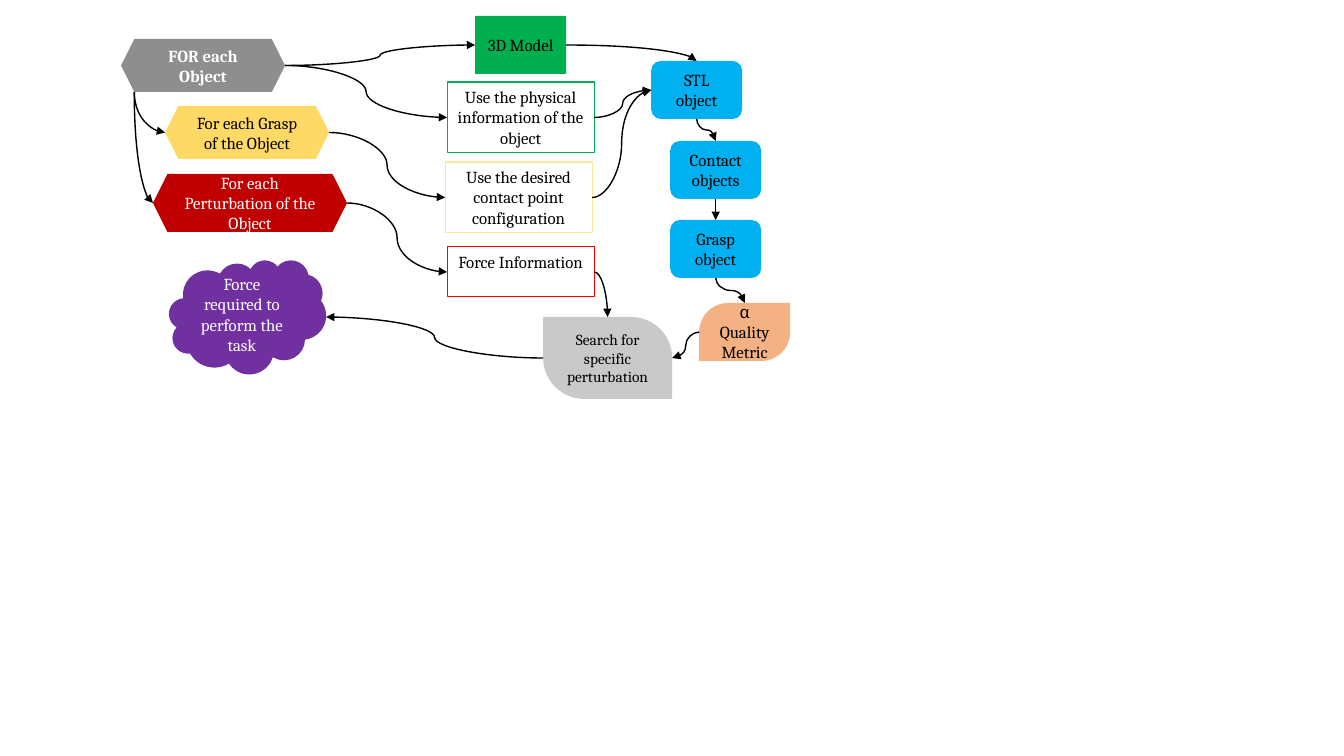
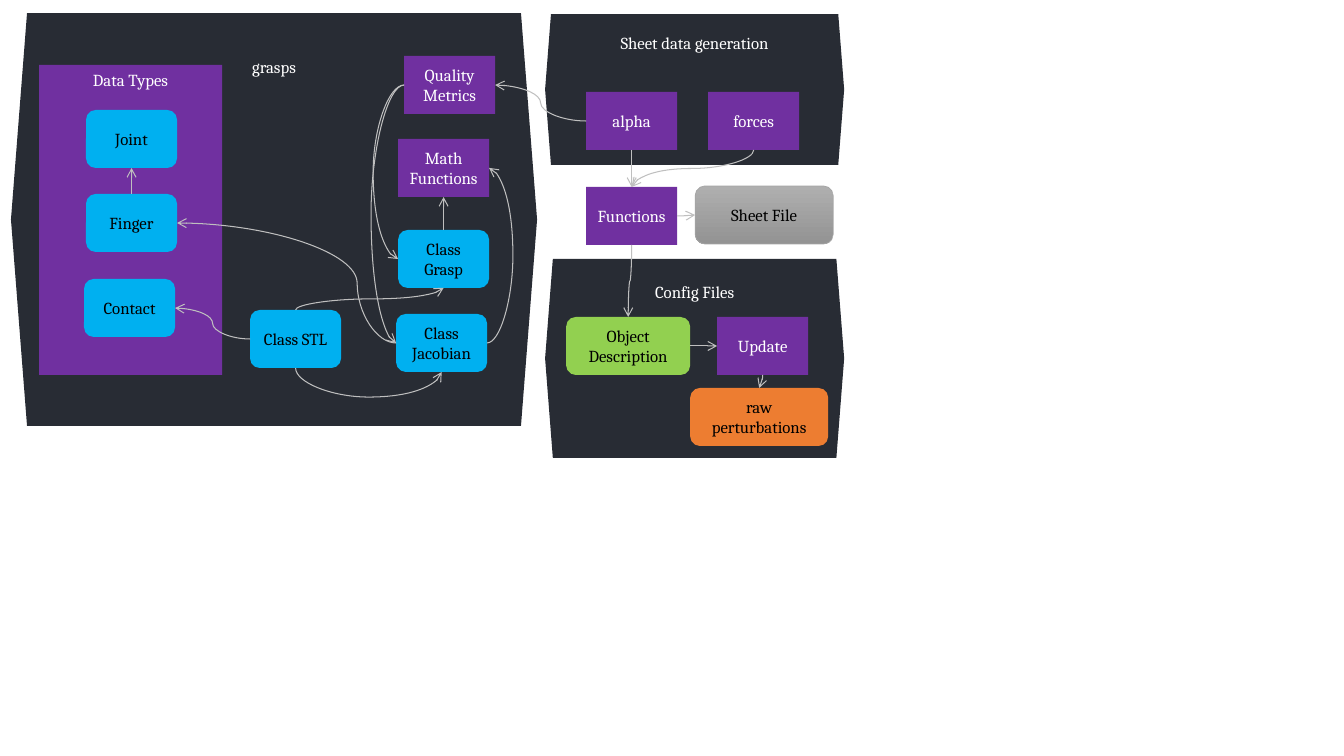
from dataclasses import dataclass

from pptx import Presentation
from pptx.dml.color import RGBColor
from pptx.enum.shapes import MSO_CONNECTOR, MSO_SHAPE as Preset
from pptx.enum.text import MSO_ANCHOR as Anchor, PP_ALIGN as Align
from pptx.oxml.ns import qn
from pptx.oxml.xmlchemy import OxmlElement
from pptx.util import Inches, Pt

EMU_PER_PIXEL = Inches(1) / 100.8
FONT = "Cambria"
BLACK, WHITE = "000000", "FFFFFF"
BLUE, PURPLE, DARK = "00B0F0", "7030A0", "282C34"
TILE = (91, 58)
SMALL_HEXAGON = (164, 53)
NOTE = (147, 71)
WIDE_TILE = (138, 58)
RECT_SITES = {"T": 0, "L": 1, "B": 2, "R": 3}
SITES = {
    Preset.HEXAGON: {"R": 0, "C": 2, "L": 3},
    Preset.CLOUD: {"R": 0},
    Preset.ROUND_2_DIAG_RECTANGLE: {"R": 0, "B": 1, "L": 2, "T": 3},
}


@dataclass(frozen=True)
class Box:
    key: str
    text: str
    left: int
    top: int
    size: tuple[int, int] = TILE
    preset: Preset = Preset.ROUNDED_RECTANGLE
    fill: str | tuple[str, str] | None = BLUE
    ink: str = BLACK
    outline: str | None = None
    outline_width: float = 0.75
    anchor: Anchor = Anchor.MIDDLE
    adjust: tuple[float, ...] = ()
    points: int = 12
    bold: bool = False

    def site(self, side: str) -> tuple[float, float]:
        width, height = self.size
        corner = 0.25 * min(self.size)
        across, down = {
            "L": (0, height / 2),
            "R": (width, height / 2),
            "T": (width / 2, 0),
            "B": (width / 2, height),
            "C": (corner, height),
        }[side]
        return self.left + across, self.top + down


@dataclass(frozen=True)
class Link:
    start: str
    leave: str
    end: str
    arrive: str
    reach: int | None = None


@dataclass(frozen=True)
class Arrow:
    color: str
    width: float
    head: str


def emu(pixels: float) -> int:
    return round(pixels * EMU_PER_PIXEL)


def rgb(value: str) -> RGBColor:
    return RGBColor.from_string(value)


def note(key: str, text: str, left: int, top: int, outline: str,
         size: tuple[int, int] = NOTE) -> Box:
    return Box(key, text, left, top, size, Preset.RECTANGLE, None,
               outline=outline, anchor=Anchor.TOP)


def module(key: str, text: str, left: int, top: int) -> Box:
    return Box(key, text, left, top, TILE, Preset.RECTANGLE, PURPLE, WHITE)


def folder_panel(key: str, text: str, left: int, top: int, size: tuple[int, int]) -> Box:
    return Box(key, text, left, top, size, Preset.HEXAGON, DARK, WHITE,
               anchor=Anchor.TOP, adjust=(0.039,))


def draw_box(slide, box: Box):
    shape = slide.shapes.add_shape(
        box.preset, *map(emu, (box.left, box.top, *box.size)))
    shape.shadow.inherit = False
    for index, value in enumerate(box.adjust):
        shape.adjustments[index] = value
    if box.fill is None:
        shape.fill.background()
    elif isinstance(box.fill, tuple):
        shape.fill.gradient()
        shape.fill.gradient_angle = 270
        for stop, color in zip(shape.fill.gradient_stops, box.fill):
            stop.color.rgb = rgb(color)
    else:
        shape.fill.solid()
        shape.fill.fore_color.rgb = rgb(box.fill)
    if box.outline:
        shape.line.color.rgb = rgb(box.outline)
        shape.line.width = Pt(box.outline_width)
    else:
        shape.line.fill.background()
    frame = shape.text_frame
    frame.word_wrap = True
    frame.vertical_anchor = box.anchor
    frame.text = box.text
    for paragraph in frame.paragraphs:
        paragraph.alignment = Align.CENTER
        font = paragraph.font
        font.name, font.size, font.bold = FONT, Pt(box.points), box.bold
        font.color.rgb = rgb(box.ink)
    return shape


def orient(dx: float, dy: float, vertical: bool) -> tuple[int, bool, bool]:
    if not vertical:
        return (180 if dx < 0 else 0), False, (dy < 0) != (dx < 0)
    if dx > 0 and dy > 0:
        return 270, True, False
    return 90, dy < 0, dx > 0


def draw_link(slide, link: Link, boxes: dict[str, Box], shapes: dict, arrow: Arrow) -> None:
    source, target = boxes[link.start], boxes[link.end]
    x1, y1 = source.site(link.leave)
    x2, y2 = target.site(link.arrive)
    dx, dy = x2 - x1, y2 - y1
    vertical = link.leave not in "LR"
    along, across = (abs(dy), abs(dx)) if vertical else (abs(dx), abs(dy))

    curve = slide.shapes.add_connector(MSO_CONNECTOR.CURVE, 0, 0, 0, 0)
    curve.begin_connect(shapes[link.start],
                        SITES.get(source.preset, RECT_SITES)[link.leave])
    curve.end_connect(shapes[link.end],
                      SITES.get(target.preset, RECT_SITES)[link.arrive])
    curve.left, curve.top = emu((x1 + x2 - along) / 2), emu((y1 + y2 - across) / 2)
    curve.width, curve.height = emu(along), emu(across)

    properties = curve._element.spPr
    rotation, flip_h, flip_v = orient(dx, dy, vertical)
    frame = properties.find(qn("a:xfrm"))
    frame.set("rot", str(rotation * 60000))
    frame.set("flipH", str(int(flip_h)))
    frame.set("flipV", str(int(flip_v)))

    geometry = properties.find(qn("a:prstGeom"))
    if vertical == (link.arrive in "LR"):
        geometry.set("prst", "curvedConnector2")
    elif link.reach is not None:
        guide = OxmlElement("a:gd")
        guide.set("name", "adj1")
        guide.set("fmla", f"val {round(link.reach / along * 100000)}")
        geometry.find(qn("a:avLst")).append(guide)

    curve.line.color.rgb = rgb(arrow.color)
    curve.line.width = Pt(arrow.width)
    head = OxmlElement("a:tailEnd")
    head.set("type", arrow.head)
    properties.find(qn("a:ln")).append(head)
    properties.append(OxmlElement("a:effectLst"))


def draw_diagram(deck, boxes: list[Box], links: list[Link], arrow: Arrow) -> None:
    slide = deck.slides.add_slide(deck.slide_layouts[6])
    shapes = {box.key: draw_box(slide, box) for box in boxes}
    by_key = {box.key: box for box in boxes}
    for link in links:
        draw_link(slide, link, by_key, shapes, arrow)


WORKFLOW = [
    Box("each object", "FOR each Object", 121, 39, SMALL_HEXAGON, Preset.HEXAGON,
        "8E8E8E", WHITE, bold=True),
    Box("each grasp", "For each Grasp of the Object", 165, 106, SMALL_HEXAGON,
        Preset.HEXAGON, "FFD966"),
    Box("each perturbation", "For each Perturbation of the Object", 153, 174,
        (194, 58), Preset.HEXAGON, "C00000", WHITE),
    Box("force", "Force required to perform the task", 169, 260, (157, 114),
        Preset.CLOUD, PURPLE, WHITE),
    Box("model", "3D Model", 475, 16, TILE, Preset.RECTANGLE, "00B050"),
    note("physical", "Use the physical information of the object", 447, 82, "00B050"),
    note("configuration", "Use the desired contact point configuration", 445, 162,
         "FFE699"),
    note("force info", "Force Information", 447, 247, "FF0000", (147, 50)),
    Box("stl", "STL object", 651, 61),
    Box("contact", "Contact objects", 670, 141),
    Box("grasp", "Grasp object", 670, 220),
    Box("metric", "α\nQuality\nMetric", 699, 303, TILE,
        Preset.ROUND_2_DIAG_RECTANGLE, "F4B183", adjust=(0.5, 0)),
    Box("search", "Search for specific perturbation", 543, 317, (129, 82),
        Preset.ROUND_2_DIAG_RECTANGLE, "C9C9C9", adjust=(0, 0.5), points=11),
]
WORKFLOW_LINKS = [
    Link("model", "R", "stl", "T"),
    Link("stl", "B", "contact", "T"),
    Link("configuration", "R", "stl", "L"),
    Link("contact", "B", "grasp", "T"),
    Link("physical", "R", "stl", "L"),
    Link("grasp", "B", "metric", "T"),
    Link("each object", "R", "model", "L"),
    Link("each object", "R", "physical", "L"),
    Link("each object", "C", "each perturbation", "L"),
    Link("each object", "C", "each grasp", "L"),
    Link("each grasp", "R", "configuration", "L"),
    Link("each perturbation", "R", "force info", "L"),
    Link("metric", "L", "search", "R"),
    Link("search", "L", "force", "R"),
    Link("force info", "R", "search", "T"),
]
ARCHITECTURE = [
    folder_panel("generation", "Sheet data generation", 545, 14, (299, 151)),
    folder_panel("config", "Config Files", 545, 259, (299, 199)),
    folder_panel("grasps", "grasps", 11, 13, (526, 413)),
    Box("types", "Data Types", 39, 65, (183, 310), Preset.RECTANGLE, PURPLE, WHITE,
        anchor=Anchor.TOP),
    module("alpha", "alpha", 586, 92),
    module("forces", "forces", 708, 92),
    module("functions", "Functions", 586, 187),
    module("update", "Update", 717, 317),
    module("math", "Math Functions", 398, 139),
    module("quality", "Quality Metrics", 404, 56),
    Box("file", "Sheet File", 695, 186, WIDE_TILE, fill=("AFAFAF", "939393"),
        outline="A5A5A5", outline_width=0.5),
    Box("description", "Object Description", 566, 317, (124, 58), fill="92D050"),
    Box("raw", "raw perturbations", 690, 388, WIDE_TILE, fill="ED7D31"),
    Box("stl", "Class STL", 250, 310),
    Box("jacobian", "Class Jacobian", 396, 314),
    Box("grasp", "Class Grasp", 398, 230),
    Box("joint", "Joint", 86, 110),
    Box("finger", "Finger", 86, 194),
    Box("contact", "Contact", 84, 279),
]
ARCHITECTURE_LINKS = [
    Link("description", "R", "update", "L"),
    Link("update", "B", "raw", "T"),
    Link("alpha", "B", "functions", "T"),
    Link("functions", "R", "file", "L"),
    Link("forces", "B", "functions", "T"),
    Link("functions", "B", "description", "T"),
    Link("grasp", "T", "math", "B"),
    Link("quality", "L", "jacobian", "L", reach=33),
    Link("jacobian", "R", "math", "R", reach=26),
    Link("quality", "L", "grasp", "L", reach=31),
    Link("stl", "T", "grasp", "B"),
    Link("stl", "B", "jacobian", "B", reach=29),
    Link("finger", "T", "joint", "B"),
    Link("jacobian", "L", "finger", "R", reach=39),
    Link("stl", "L", "contact", "R"),
    Link("alpha", "L", "quality", "R"),
]

deck = Presentation()
deck.slide_width, deck.slide_height = Inches(13.33), Inches(7.5)
draw_diagram(deck, WORKFLOW, WORKFLOW_LINKS, Arrow(BLACK, 1, "triangle"))
draw_diagram(deck, ARCHITECTURE, ARCHITECTURE_LINKS, Arrow("BFBFBF", 0.75, "arrow"))
deck.save("out.pptx")
